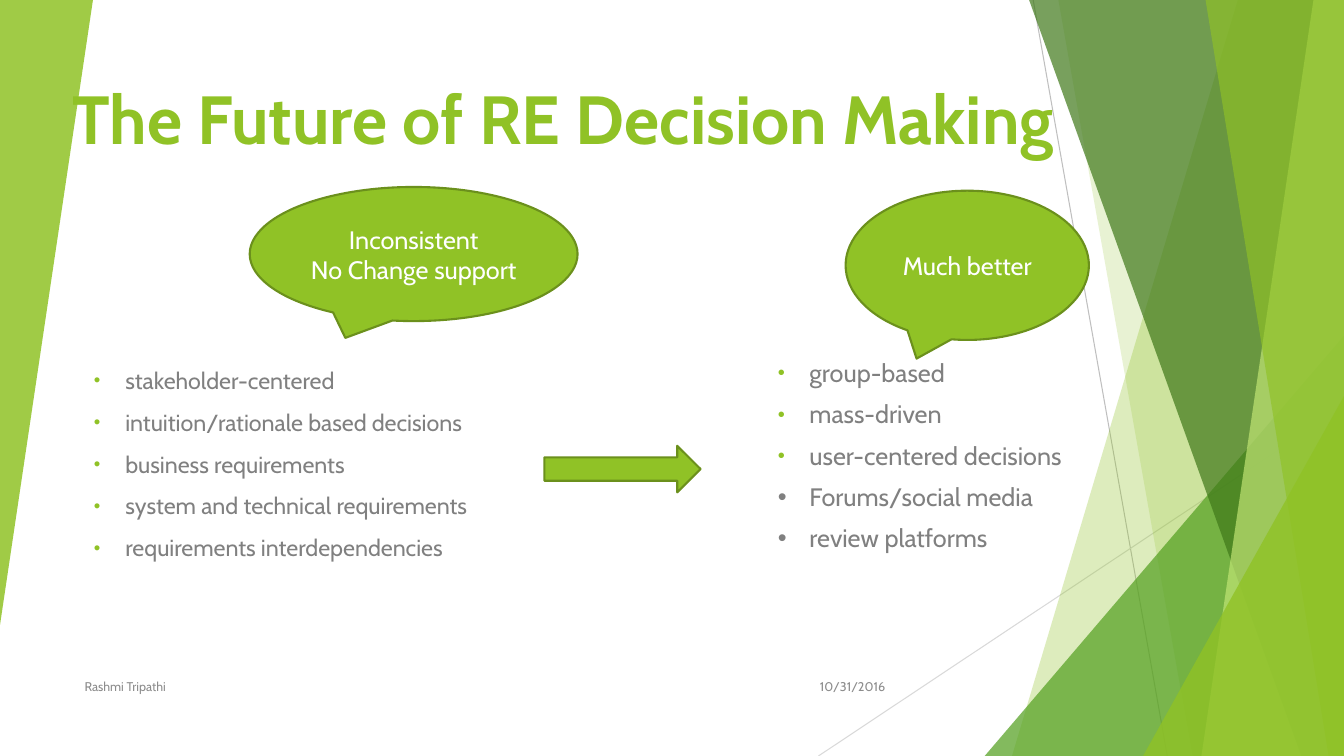
"""Build the slide on the future of requirements engineering decision making."""
from lxml.etree import SubElement
from pptx import Presentation
from pptx.dml.color import RGBColor
from pptx.enum.shapes import MSO_CONNECTOR, MSO_SHAPE as Shape
from pptx.enum.text import MSO_ANCHOR as Anchor, MSO_AUTO_SIZE, PP_ALIGN as Align
from pptx.oxml.ns import qn
from pptx.util import Pt

FONT = "Cabin"
GREEN, DARK_GREEN, GRAY, FOOTER_GRAY, WHITE = "90C226", "6B901C", "808080", "8C8C8C", "FFFFFF"
WIDTH, HEIGHT = 960, 540

TITLE = "The Future of RE Decision Making"
TODAY = ["stakeholder-centered", "intuition/rationale based decisions", "business requirements",
         "system and technical requirements", "requirements interdependencies"]
FUTURE = ["group-based", "mass-driven", "user-centered decisions",
          "Forums/social media", "review platforms"]
CALLOUTS = [
    (["Inconsistent", "No Change support"], (178.4, 133.6, 234.2, 95.8)),
    (["Much better"], (604, 136.2, 173.8, 106.6)),
]
FOOTERS = [
    ("10/31/2016", (567.4, 475.9, 72, 28.8), Align.RIGHT),
    ("Rashmi Tripathi", (53.3, 475.9, 496.1, 28.8), Align.LEFT),
]
ARROW_BOX = (388.8, 318.4, 111.6, 33.3)

LINES = [((738, 0), (833.8, HEIGHT), "BFBFBF"), ((WIDTH, 290.2), (584.6, HEIGHT), "D9D9D9")]
BANDS_BEHIND = [(884.2, 722.9, GREEN, 30), (756, 851.8, GREEN, 20)]
BANDS_FRONT = [(735.1, 929.5, "3F7819", 70), (938.2, 858.2, "C0E474", 70),
               (861.1, 949, GREEN, 65)]
TRIANGLE_BEHIND = ((703.4, 239.8, 256.6, 300.2), 0, "54A021", 72)
TRIANGLES_FRONT = [((816.5, 283, 143.5, 257), 0, GREEN, 80), ((0, 0, 66.4, 446.4), 180, GREEN, 85)]


def rgb(color):
    return RGBColor.from_string(color)


def points(values):
    return [Pt(value) for value in values]


def paint(shape, color, opacity=100, outline=None):
    shape.shadow.inherit = False
    shape.fill.solid()
    shape.fill.fore_color.rgb = rgb(color)
    if opacity < 100:
        color_element = shape.element.spPr.find(qn("a:solidFill"))[0]
        SubElement(color_element, qn("a:alpha"), val=str(opacity * 1000))
    if outline:
        shape.line.color.rgb = rgb(outline)
        shape.line.width = Pt(1.5)
    else:
        shape.line.fill.background()


def add_line(slide, start, end, color):
    line = slide.shapes.add_connector(MSO_CONNECTOR.STRAIGHT, *points(start + end))
    line.line.color.rgb = rgb(color)
    line.line.width = Pt(0.75)
    SubElement(line.element.spPr, qn("a:effectLst"))


def add_band(slide, top_x, bottom_x, color, opacity):
    builder = slide.shapes.build_freeform(Pt(top_x), 0, scale=1.0)
    corners = [(WIDTH, 0), (WIDTH, HEIGHT), (bottom_x, HEIGHT)]
    builder.add_line_segments([points(corner) for corner in corners], close=True)
    paint(builder.convert_to_shape(), color, opacity)


def add_triangle(slide, box, rotation, color, opacity):
    triangle = slide.shapes.add_shape(Shape.ISOSCELES_TRIANGLE, *points(box))
    triangle.adjustments[0] = 1
    triangle.rotation = rotation
    paint(triangle, color, opacity)


def place(shape, box):
    shape.left, shape.top, shape.width, shape.height = points(box)


def write(shape, lines, size, color, align=Align.LEFT, anchor=Anchor.MIDDLE, bold=False):
    frame = shape.text_frame
    frame.word_wrap = True
    frame.auto_size = MSO_AUTO_SIZE.NONE
    frame.vertical_anchor = anchor
    for index, line in enumerate(lines):
        paragraph = frame.add_paragraph() if index else frame.paragraphs[0]
        paragraph.alignment = align
        run = paragraph.add_run()
        run.text = line
        run.font.name = FONT
        run.font.size = Pt(size)
        run.font.bold = bold
        run.font.color.rgb = rgb(color)


def add_bullets(paragraphs, line_spacing, small_count):
    for index, paragraph in enumerate(paragraphs):
        paragraph.line_spacing = line_spacing
        paragraph.space_before = Pt(10)
        properties = paragraph._p.get_or_add_pPr()
        properties.set("marL", str(Pt(22.5)))
        properties.set("indent", str(Pt(-22.5)))
        if index < small_count:
            bullet_color = SubElement(properties, qn("a:buClr"))
            SubElement(bullet_color, qn("a:srgbClr"), val=GREEN)
            SubElement(properties, qn("a:buSzPct"), val="80000")
        SubElement(properties, qn("a:buFont"), typeface="Arial")
        SubElement(properties, qn("a:buChar"), char="•")


def add_backdrop(slide):
    for line in LINES:
        add_line(slide, *line)
    for band in BANDS_BEHIND:
        add_band(slide, *band)
    add_triangle(slide, *TRIANGLE_BEHIND)
    for band in BANDS_FRONT:
        add_band(slide, *band)
    for triangle in TRIANGLES_FRONT:
        add_triangle(slide, *triangle)


def main():
    presentation = Presentation()
    presentation.slide_width, presentation.slide_height = Pt(WIDTH), Pt(HEIGHT)
    slide = presentation.slides.add_slide(presentation.slide_layouts[0])
    shapes = slide.shapes
    title, today = slide.placeholders
    add_backdrop(slide)
    for placeholder in (title, today):
        shapes.element.append(placeholder.element)

    place(title, (44.6, 36, 810, 80.6))
    write(title, [TITLE], 48.6, GREEN, anchor=Anchor.BOTTOM, bold=True)
    place(today, (59.8, 257.8, 309.6, 174.2))
    write(today, TODAY, 16.6, GRAY, anchor=Anchor.TOP)
    add_bullets(today.text_frame.paragraphs, 1.0, len(TODAY))

    for text, box, align in FOOTERS:
        write(shapes.add_textbox(*points(box)), [text], 9, FOOTER_GRAY, align)

    paint(shapes.add_shape(Shape.RIGHT_ARROW, *points(ARROW_BOX)), GREEN, outline=DARK_GREEN)

    future = shapes.add_textbox(*points((548.6, 254.2, 267.1, 174.2)))
    write(future, FUTURE, 18, GRAY, anchor=Anchor.TOP)
    add_bullets(future.text_frame.paragraphs, 0.9, 3)

    for lines, box in CALLOUTS:
        callout = shapes.add_shape(Shape.OVAL_CALLOUT, *points(box))
        paint(callout, GREEN, outline=DARK_GREEN)
        write(callout, lines, 18, WHITE, Align.CENTER)

    presentation.save("out.pptx")


if __name__ == "__main__":
    main()
